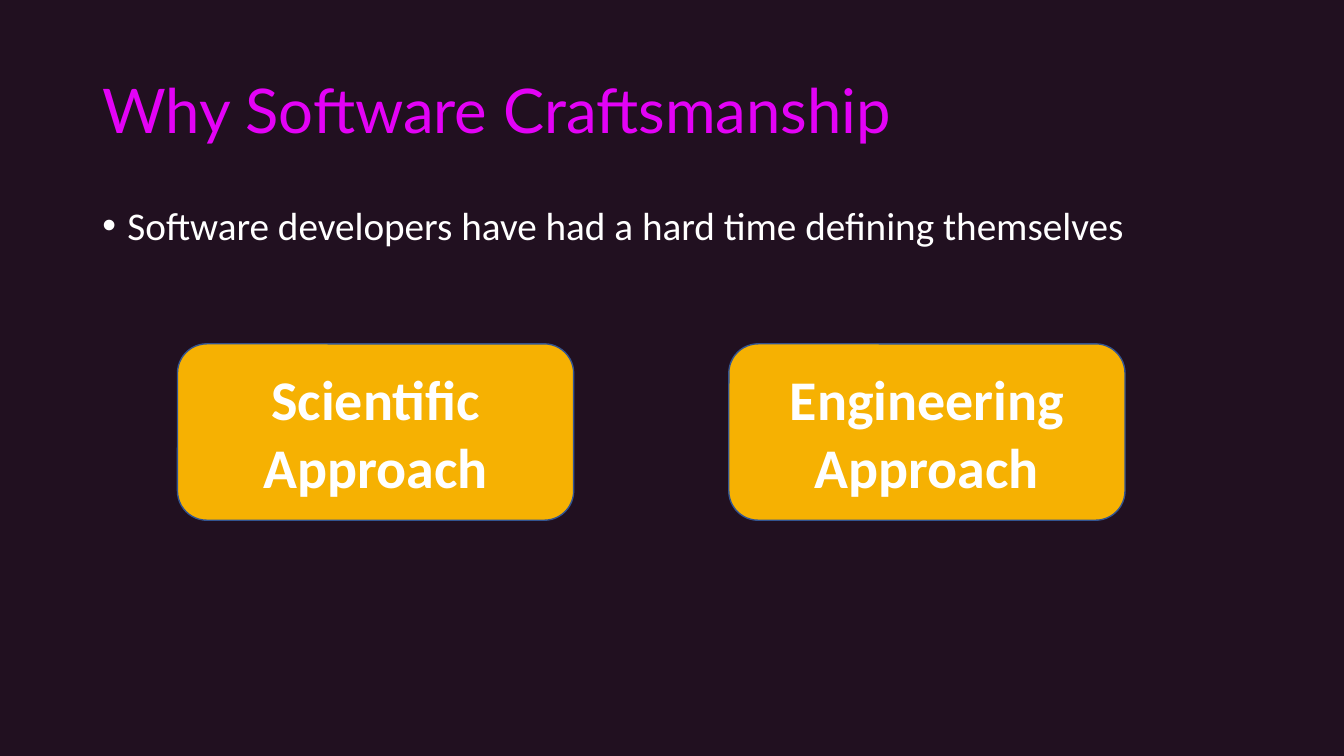
import pptx
import pptx.dml.color
import pptx.enum.shapes
import pptx.enum.text
import pptx.oxml
import pptx.util
from pptx.oxml.ns import nsdecls

Pt = pptx.util.Pt
RGBColor = pptx.dml.color.RGBColor
MIDDLE = pptx.enum.text.MSO_ANCHOR.MIDDLE
TOP = pptx.enum.text.MSO_ANCHOR.TOP
CENTER = pptx.enum.text.PP_ALIGN.CENTER
ROUNDED = pptx.enum.shapes.MSO_SHAPE.ROUNDED_RECTANGLE

BACKGROUND = RGBColor(0x21, 0x10, 0x20)
MAGENTA = RGBColor(0xE3, 0x02, 0xF6)
WHITE = RGBColor(0xFF, 0xFF, 0xFF)
AMBER = RGBColor(0xF6, 0xB1, 0x02)
OUTLINE = RGBColor(0x32, 0x54, 0x91)

TITLE_FONT = {"name": "Lato", "size": Pt(44)}
BULLET_FONT = {"name": "Calibri", "size": Pt(28)}
APPROACH_FONT = {"name": "Calibri", "size": Pt(40), "bold": True}

MARGIN, CONTENT_WIDTH = 66, 828
APPROACHES = ["Scientific Approach", "Engineering Approach"]
APPROACH_LEFT, APPROACH_TOP, APPROACH_STEP = 126.8, 245.6, 393.8
APPROACH_WIDTH, APPROACH_HEIGHT = 283, 126


def write(frame, wording, font, color, anchor):
    """Fill the frame with one wrapped paragraph and return it."""
    frame.word_wrap = True
    frame.vertical_anchor = anchor
    paragraph = frame.paragraphs[0]
    run = paragraph.add_run()
    run.text = wording
    for key, value in font.items():
        setattr(run.font, key, value)
    run.font.color.rgb = color
    return paragraph


def add_text(slide, top, height, wording, font, color, anchor):
    box = slide.shapes.add_textbox(
        Pt(MARGIN), Pt(top), Pt(CONTENT_WIDTH), Pt(height))
    paragraph = write(box.text_frame, wording, font, color, anchor)
    paragraph.line_spacing = 0.9
    return paragraph


def make_bullet(paragraph, indent):
    properties = paragraph._p.get_or_add_pPr()
    properties.set("marL", str(Pt(indent)))
    properties.set("indent", str(-Pt(indent)))
    for element in ('<a:buFont %s typeface="Arial"/>',
                    '<a:buChar %s char="•"/>'):
        properties.append(pptx.oxml.parse_xml(element % nsdecls("a")))


def add_approach(slide, left, wording):
    card = slide.shapes.add_shape(
        ROUNDED, Pt(left), Pt(APPROACH_TOP),
        Pt(APPROACH_WIDTH), Pt(APPROACH_HEIGHT))
    card.shadow.inherit = False
    card.fill.solid()
    card.fill.fore_color.rgb = AMBER
    card.line.color.rgb = OUTLINE
    card.line.width = Pt(1)
    paragraph = write(card.text_frame, wording, APPROACH_FONT, WHITE, MIDDLE)
    paragraph.alignment = CENTER


def main():
    deck = pptx.Presentation()
    deck.slide_width, deck.slide_height = Pt(960), Pt(540)
    slide = deck.slides.add_slide(deck.slide_layouts[6])
    slide.background.fill.solid()
    slide.background.fill.fore_color.rgb = BACKGROUND

    add_text(slide, 28.8, 104.4, "Why Software Craftsmanship",
             TITLE_FONT, MAGENTA, MIDDLE)
    statement = add_text(
        slide, 144, 342.7,
        "Software developers have had a hard time defining themselves",
        BULLET_FONT, WHITE, TOP)
    make_bullet(statement, 18)

    for index, approach in enumerate(APPROACHES):
        add_approach(slide, APPROACH_LEFT + index * APPROACH_STEP, approach)

    deck.save("out.pptx")


if __name__ == "__main__":
    main()
